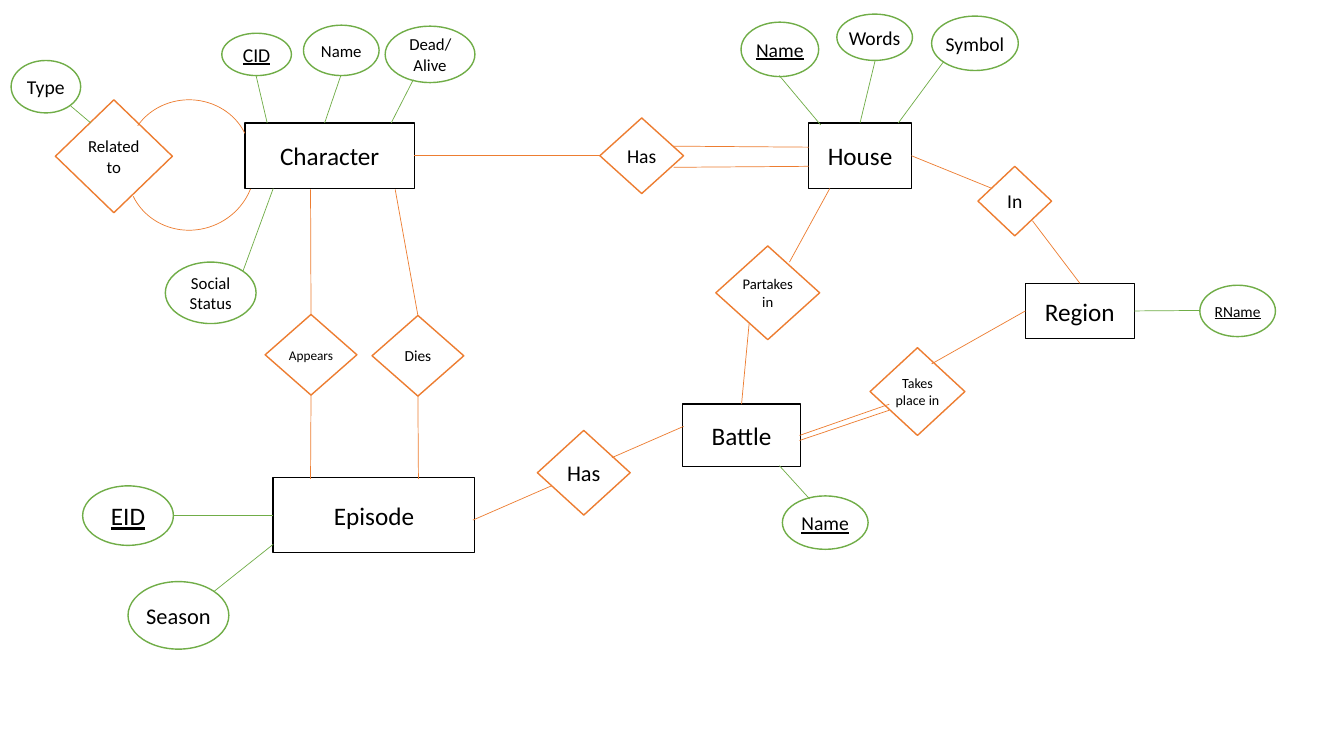
"""Build an entity-relationship diagram of characters, houses, battles and episodes."""
from dataclasses import dataclass

from lxml import etree
from pptx import Presentation
from pptx.dml.color import RGBColor
from pptx.enum.shapes import MSO_CONNECTOR, MSO_SHAPE
from pptx.enum.text import MSO_ANCHOR, PP_ALIGN
from pptx.oxml.ns import qn
from pptx.util import Inches, Pt

RECTANGLE, ELLIPSE = MSO_SHAPE.RECTANGLE, MSO_SHAPE.OVAL
DIAMOND, ARC = MSO_SHAPE.DIAMOND, MSO_SHAPE.ARC
STRAIGHT = MSO_CONNECTOR.STRAIGHT
CENTER, MIDDLE = PP_ALIGN.CENTER, MSO_ANCHOR.MIDDLE
TOP, LEFT, BOTTOM, RIGHT = range(4)
BLANK_LAYOUT = 6


@dataclass(frozen=True)
class Theme:
    """Colours, font, type sizes and line widths."""
    entity: str = "000000"
    attribute: str = "70AD47"
    relation: str = "ED7D31"
    fill: str = "FFFFFF"
    text: str = "000000"
    font: str = "Calibri"
    title: float = 18
    large: float = 16
    medium: float = 14
    body: float = 12
    small: float = 11
    compact: float = 10.5
    fine: float = 10
    tiny: float = 9.5
    outline: float = 1
    link: float = 0.5


THEME = Theme()

ENTITIES = [
    ("Character", (2.43, 1.22, 1.68, 0.65)),
    ("House", (8.02, 1.22, 1.02, 0.65)),
    ("Region", (10.17, 2.81, 1.08, 0.55)),
    ("Battle", (6.77, 4.01, 1.17, 0.62)),
    ("Episode", (2.71, 4.74, 2, 0.74)),
]

RELATIONS = [
    ("related", "Related to", (0.55, 0.99, 1.16, 1.12), THEME.body, 0),
    ("member", "Has", (5.95, 1.17, 0.83, 0.75), THEME.medium, 0),
    ("located", "In", (9.7, 1.65, 0.73, 0.69), THEME.medium, 0.1),
    ("partakes", "Partakes in", (7.1, 2.44, 1.03, 0.93), THEME.compact, 0),
    ("place", "Takes place in", (8.63, 3.45, 0.94, 0.87), THEME.fine, 0),
    ("appears", "Appears", (2.63, 3.12, 0.91, 0.8), THEME.tiny, 0),
    ("dies", "Dies", (3.69, 3.13, 0.91, 0.8), THEME.small, 0),
    ("features", "Has", (5.33, 4.27, 0.92, 0.84), THEME.large, 0),
]

ATTRIBUTES = [
    ("CID", (2.2, 0.33, 0.69, 0.42), THEME.medium, 0.1, True),
    ("Name", (3.01, 0.25, 0.75, 0.5), THEME.body, 0, False),
    ("Type", (0.11, 0.6, 0.69, 0.52), THEME.medium, 0, False),
    ("Dead/Alive", (3.82, 0.26, 0.89, 0.56), THEME.body, 0.1, False),
    ("Social Status", (1.64, 2.6, 0.9, 0.61), THEME.body, 0.1, False),
    ("Name", (7.35, 0.22, 0.77, 0.54), THEME.medium, 0, True),
    ("Words", (8.3, 0.14, 0.75, 0.46), THEME.medium, 0, False),
    ("Symbol", (9.24, 0.16, 0.86, 0.54), THEME.medium, 0, False),
    ("RName", (11.9, 2.83, 0.75, 0.51), THEME.small, 0, True),
    ("EID", (0.82, 4.82, 0.9, 0.59), THEME.title, 0.1, True),
    ("Season", (1.27, 5.77, 1, 0.67), THEME.large, 0, False),
    ("Name", (7.76, 4.92, 0.85, 0.53), THEME.medium, 0, True),
]

ARCS = [
    ((1.27, 0.99, 1.21, 1.12), (126.465, 202.617), 0),
    ((1.26, 1.07, 1.27, 1.21), (131.833, 213.481), 158.9),
]

ATTRIBUTE_LINKS = [
    ((2.54, 0.75), (2.65, 1.22)),
    ((3.38, 0.75), (3.22, 1.22)),
    ((0.7, 1.05), (0.9, 1.22)),
    ((3.88, 1.22), (4.1, 0.79)),
    ((2.41, 2.69), (2.71, 1.87)),
    ((7.73, 0.75), (8.14, 1.24)),
    ((8.68, 0.6), ("House", TOP)),
    ((8.91, 1.22), (9.36, 0.61)),
    (("Region", RIGHT), (11.9, 3.08)),
    ((1.73, 5.11), ("Episode", LEFT)),
    ((2.12, 5.87), (2.71, 5.4)),
    ((7.73, 4.62), (8.03, 4.95)),
]

RELATION_LINKS = [
    (("Character", RIGHT), ("member", LEFT)),
    ((6.68, 1.45), (8.02, 1.46)),
    ((6.68, 1.66), (8.02, 1.65)),
    (("House", RIGHT), (9.84, 1.87)),
    ((10.24, 2.19), ("Region", TOP)),
    ((8.23, 1.87), (7.83, 2.6)),
    ((7.43, 3.21), ("Battle", TOP)),
    ((7.93, 4.32), (8.82, 4.01)),
    ((7.93, 4.37), (8.82, 4.07)),
    ((9.24, 3.61), ("Region", LEFT)),
    ((3.08, 1.88), ("appears", TOP)),
    ((3.92, 1.88), ("dies", TOP)),
    (("appears", BOTTOM), (3.08, 4.75)),
    (("dies", BOTTOM), (4.15, 4.75)),
    ((6.07, 4.54), (6.78, 4.23)),
    ((4.69, 5.16), (5.47, 4.82)),
]


def color(value):
    """Turn a hex value into a colour."""
    return RGBColor.from_string(value)


def set_line(item, value, width):
    """Give a shape or connector its line."""
    item.line.color.rgb = color(value)
    item.line.width = Pt(width)


def write(shape, text, size, inset=0.1, underline=False):
    """Put centred text in a shape."""
    frame = shape.text_frame
    frame.word_wrap = True
    frame.vertical_anchor = MIDDLE
    frame.margin_left = frame.margin_right = Inches(inset)
    frame.margin_top = frame.margin_bottom = Inches(inset / 2)
    paragraph = frame.paragraphs[0]
    paragraph.alignment = CENTER
    run = paragraph.add_run()
    run.text = text
    run.font.name = THEME.font
    run.font.size = Pt(size)
    run.font.color.rgb = color(THEME.text)
    if underline:
        run.font.underline = True


def add_node(slide, kind, box, line, text, size, **text_format):
    """Add a filled, outlined and labelled shape."""
    shape = slide.shapes.add_shape(kind, *map(Inches, box))
    shape.shadow.inherit = False
    shape.fill.solid()
    shape.fill.fore_color.rgb = color(THEME.fill)
    set_line(shape, line, THEME.outline)
    write(shape, text, size, **text_format)
    return shape


def add_arc(slide, box, angles, rotation):
    """Add one half of the loop that relates characters."""
    arc = slide.shapes.add_shape(ARC, *map(Inches, box))
    arc.shadow.inherit = False
    arc.fill.background()
    set_line(arc, THEME.relation, THEME.link)
    arc.adjustments[0], arc.adjustments[1] = angles
    arc.rotation = rotation


def add_link(slide, nodes, ends, line):
    """Draw a line between two points or joined shape sides."""
    points = [(0, 0) if end[0] in nodes else end for end in ends]
    connector = slide.shapes.add_connector(STRAIGHT, *(Inches(value) for point in points for value in point))
    for end, join in zip(ends, (connector.begin_connect, connector.end_connect)):
        if end[0] in nodes:
            join(nodes[end[0]], end[1])
    set_line(connector, line, THEME.link)
    etree.SubElement(connector._element.spPr, qn("a:effectLst"))


def main():
    """Draw the diagram and save it."""
    presentation = Presentation()
    presentation.slide_width, presentation.slide_height = Inches(13.33), Inches(7.5)
    slide = presentation.slides.add_slide(presentation.slide_layouts[BLANK_LAYOUT])
    nodes = {}
    for name, box in ENTITIES:
        nodes[name] = add_node(slide, RECTANGLE, box, THEME.entity, name, THEME.title)
    for key, text, box, size, inset in RELATIONS:
        nodes[key] = add_node(slide, DIAMOND, box, THEME.relation, text, size, inset=inset)
    for text, box, size, inset, underline in ATTRIBUTES:
        add_node(slide, ELLIPSE, box, THEME.attribute, text, size, inset=inset, underline=underline)
    for arc in ARCS:
        add_arc(slide, *arc)
    for links, line in ((ATTRIBUTE_LINKS, THEME.attribute), (RELATION_LINKS, THEME.relation)):
        for ends in links:
            add_link(slide, nodes, ends, line)
    presentation.save("out.pptx")


if __name__ == "__main__":
    main()
